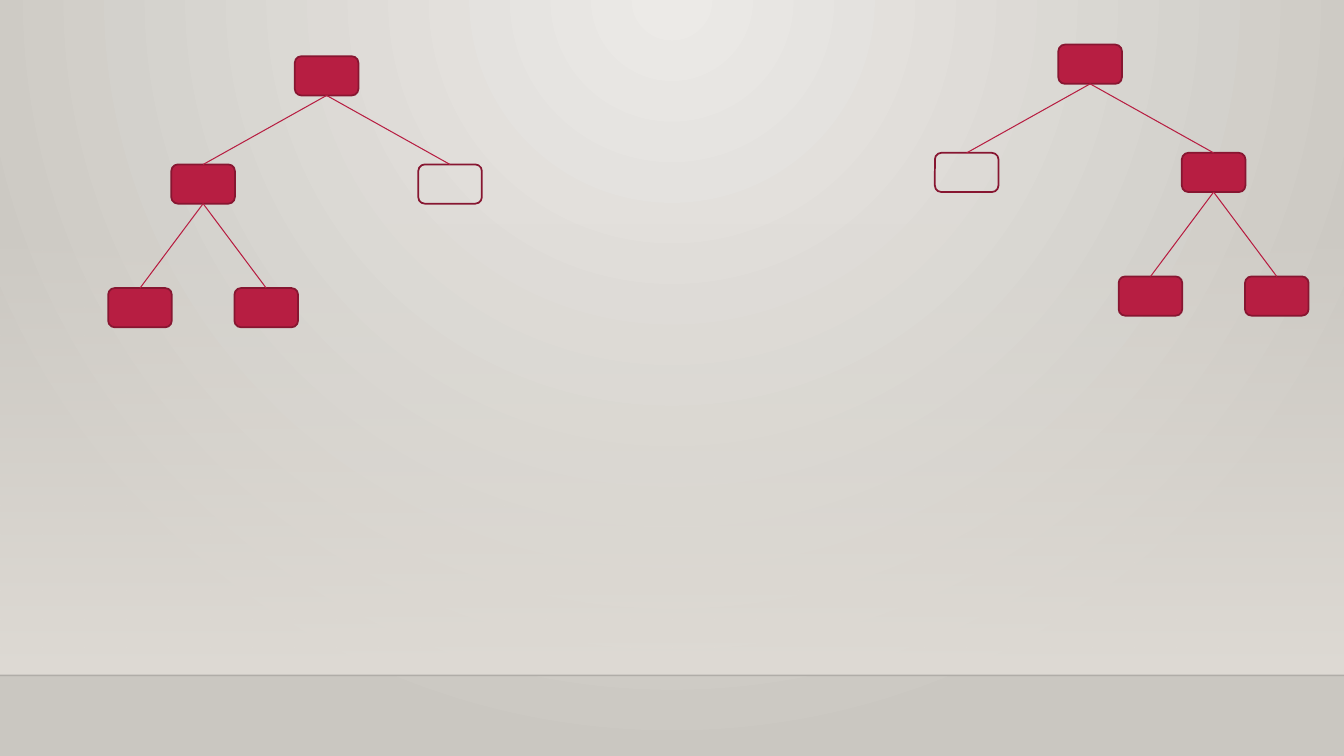
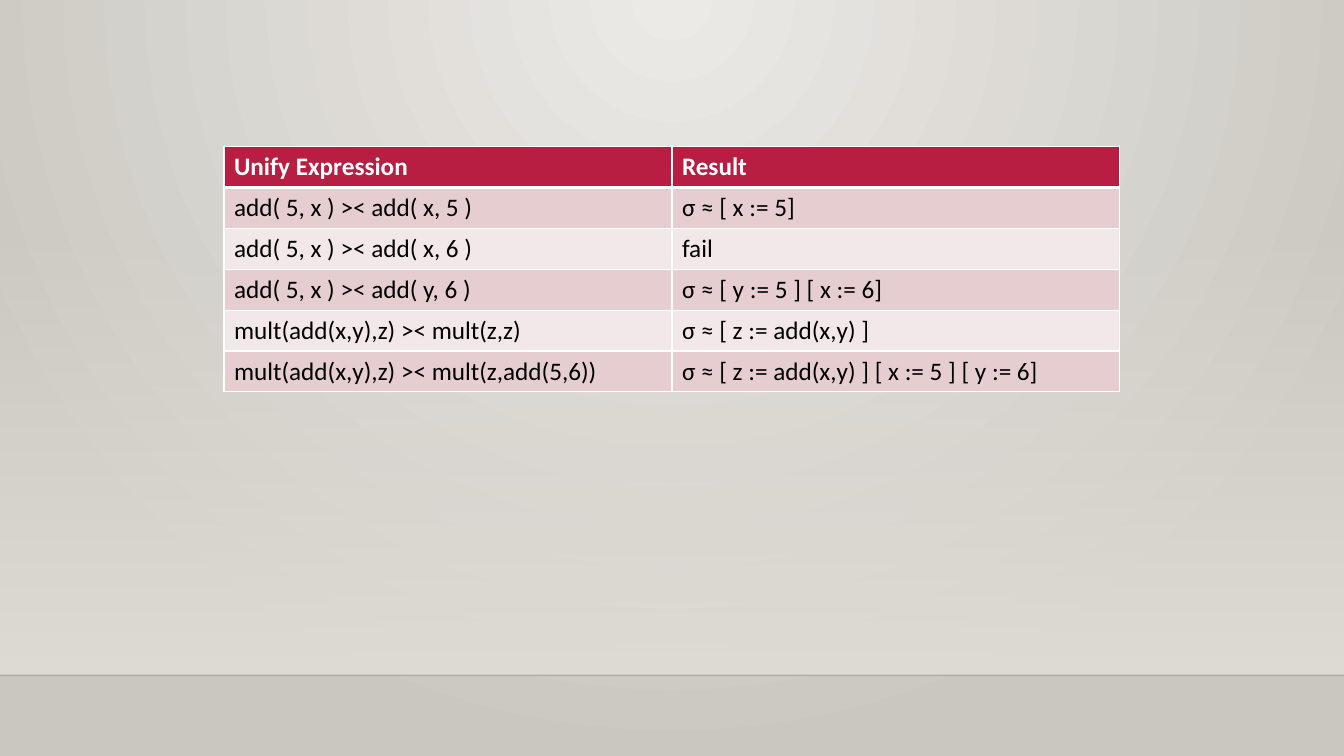
from dataclasses import dataclass

from lxml.etree import SubElement
from pptx import Presentation
from pptx.dml.color import RGBColor
from pptx.enum.shapes import MSO_CONNECTOR as Connector, MSO_SHAPE as Preset
from pptx.oxml.ns import qn
from pptx.shapes.autoshape import Shape
from pptx.shapes.connector import Connector as Line
from pptx.shapes.group import GroupShape
from pptx.slide import Slide, SlideMaster
from pptx.table import _Cell as Cell
from pptx.util import Pt

SLIDE_WIDTH, SLIDE_HEIGHT = 960, 540
WALL_TOP, FLOOR_TOP = 159.1, 482.4

CRIMSON, DARK_CRIMSON = "B71E42", "871631"
BAND_DARK, BAND_LIGHT = "E6CDCF", "F3E8E9"
BACK_LIGHT, BACK_DARK, WALL = "ECEAE7", "CAC7C1", "DFDBD5"
WHITE, BLACK = "FFFFFF", "000000"

NODE_WIDTH, NODE_HEIGHT = 45.4, 28
BRANCH_SPREAD, LEAF_SPREAD = 88.2, 45.1
BRANCH_DROP, LEAF_DROP = 77.3, 88.3
TOP, BOTTOM = 0, 2

TABLE_LEFT, TABLE_TOP = 160, 104.7
COLUMN_WIDTH, ROW_HEIGHT = 320, 29.2
ROWS = [
    ("Unify Expression", "Result"),
    ("add( 5, x ) >< add( x, 5 )", "σ ≈ [ x := 5]"),
    ("add( 5, x ) >< add( x, 6 )", "fail"),
    ("add( 5, x ) >< add( y, 6 )", "σ ≈ [ y := 5 ] [ x := 6]"),
    ("mult(add(x,y),z) >< mult(z,z)", "σ ≈ [ z := add(x,y) ]"),
    ("mult(add(x,y),z) >< mult(z,add(5,6))", "σ ≈ [ z := add(x,y) ] [ x := 5 ] [ y := 6]"),
]


@dataclass(frozen=True)
class Tree:
    """A root with two branches; the branch on open_side (-1 left, 1 right) is hollow."""

    center: float
    top: float
    open_side: int


TREES = [Tree(778.7, 31.9, -1), Tree(233.3, 40.2, 1)]


def color(hex_code: str) -> RGBColor:
    return RGBColor.from_string(hex_code)


def set_alpha(color_parent, percent: int) -> None:
    """Set the opacity of the colour held by an XML element."""
    rgb = color_parent.find(".//" + qn("a:srgbClr"))
    SubElement(rgb, qn("a:alpha"), val=str(percent * 1000))


def set_gradient(fill, start: str, end: str) -> None:
    fill.gradient()
    for stop, hex_code in zip(fill.gradient_stops, (start, end)):
        stop.color.rgb = color(hex_code)


def style_connector(line: Line, hex_code: str, width: float) -> None:
    line.line.color.rgb = color(hex_code)
    line.line.width = Pt(width)
    SubElement(line.element.spPr, qn("a:effectLst"))


def set_background(master: SlideMaster) -> None:
    """Fill the master with a circular gradient centred on the top edge."""
    set_gradient(master.background.fill, BACK_LIGHT, BACK_DARK)
    gradient = master.element.find(".//" + qn("p:bgPr")).find(qn("a:gradFill"))
    gradient.remove(gradient.find(qn("a:lin")))
    circle = SubElement(gradient, qn("a:path"), path="circle")
    SubElement(circle, qn("a:fillToRect"), l="43000", t="0", r="43000", b="100000")


def build_master(master: SlideMaster, slide: Slide) -> None:
    """Draw the wall and the floor edge on a slide, then move them to its master."""
    set_background(master)
    wall = slide.shapes.add_shape(
        Preset.RECTANGLE, 0, Pt(WALL_TOP), Pt(SLIDE_WIDTH), Pt(FLOOR_TOP - WALL_TOP)
    )
    wall.shadow.inherit = False
    wall.line.fill.background()
    set_gradient(wall.fill, WALL, WALL)
    wall.fill.gradient_angle = 270
    set_alpha(wall.element.spPr, 0)

    edge = slide.shapes.add_connector(
        Connector.STRAIGHT, 0, Pt(FLOOR_TOP), Pt(SLIDE_WIDTH), Pt(FLOOR_TOP)
    )
    style_connector(edge, BLACK, 1)
    set_alpha(edge.element.spPr, 20)

    for position, shape in enumerate((wall, edge)):
        shape.element.find(".//" + qn("p:cNvPr")).set("id", str(101 + position))
        master.shapes.element.insert(2 + position, shape.element)


def add_node(group: GroupShape, center: float, top: float, hollow: bool = False) -> Shape:
    node = group.shapes.add_shape(
        Preset.ROUNDED_RECTANGLE,
        Pt(center - NODE_WIDTH / 2), Pt(top), Pt(NODE_WIDTH), Pt(NODE_HEIGHT),
    )
    node.shadow.inherit = False
    node.line.color.rgb = color(DARK_CRIMSON)
    node.line.width = Pt(1.25)
    if hollow:
        node.fill.background()
    else:
        node.fill.solid()
        node.fill.fore_color.rgb = color(CRIMSON)
    return node


def add_edge(group: GroupShape, parent: Shape, child: Shape) -> None:
    edge = group.shapes.add_connector(
        Connector.STRAIGHT,
        parent.left + parent.width // 2, parent.top + parent.height,
        child.left + child.width // 2, child.top,
    )
    edge.begin_connect(parent, BOTTOM)
    edge.end_connect(child, TOP)
    style_connector(edge, CRIMSON, 0.75)


def add_tree(slide: Slide, tree: Tree) -> None:
    group = slide.shapes.add_group_shape()
    root = add_node(group, tree.center, tree.top)
    branch_top = tree.top + BRANCH_DROP
    for side in (-1, 1):
        center = tree.center + side * BRANCH_SPREAD
        hollow = side == tree.open_side
        branch = add_node(group, center, branch_top, hollow)
        add_edge(group, root, branch)
        if hollow:
            continue
        for leaf_side in (-1, 1):
            leaf = add_node(group, center + leaf_side * LEAF_SPREAD, branch_top + LEAF_DROP)
            add_edge(group, branch, leaf)


def set_borders(cell: Cell, top: float, bottom: float) -> None:
    properties = cell._tc.get_or_add_tcPr()
    for tag, width in (("a:lnL", 1), ("a:lnR", 1), ("a:lnT", top), ("a:lnB", bottom)):
        border = SubElement(properties, qn(tag), w=str(Pt(width)))
        SubElement(SubElement(border, qn("a:solidFill")), qn("a:srgbClr"), val=WHITE)


def fill_cell(cell: Cell, text: str, row: int) -> None:
    header = row == 0
    set_borders(cell, 3 if row == 1 else 1, 3 if header else 1)
    cell.fill.solid()
    band = BAND_DARK if row % 2 else BAND_LIGHT
    cell.fill.fore_color.rgb = color(CRIMSON if header else band)
    cell.text = text
    font = cell.text_frame.paragraphs[0].font
    font.name = "Calibri"
    font.size = Pt(18)
    font.bold = header
    font.color.rgb = color(WHITE if header else BLACK)


def add_unify_table(slide: Slide) -> None:
    columns = len(ROWS[0])
    table = slide.shapes.add_table(
        len(ROWS), columns, Pt(TABLE_LEFT), Pt(TABLE_TOP),
        Pt(columns * COLUMN_WIDTH), Pt(len(ROWS) * ROW_HEIGHT),
    ).table
    for row, texts in enumerate(ROWS):
        table.rows[row].height = Pt(ROW_HEIGHT)
        for column, text in enumerate(texts):
            fill_cell(table.cell(row, column), text, row)


def main() -> None:
    presentation = Presentation()
    presentation.slide_width = Pt(SLIDE_WIDTH)
    presentation.slide_height = Pt(SLIDE_HEIGHT)
    blank = presentation.slide_layouts[6]

    tree_slide = presentation.slides.add_slide(blank)
    build_master(presentation.slide_master, tree_slide)
    for tree in TREES:
        add_tree(tree_slide, tree)

    add_unify_table(presentation.slides.add_slide(blank))
    presentation.save("out.pptx")


if __name__ == "__main__":
    main()
